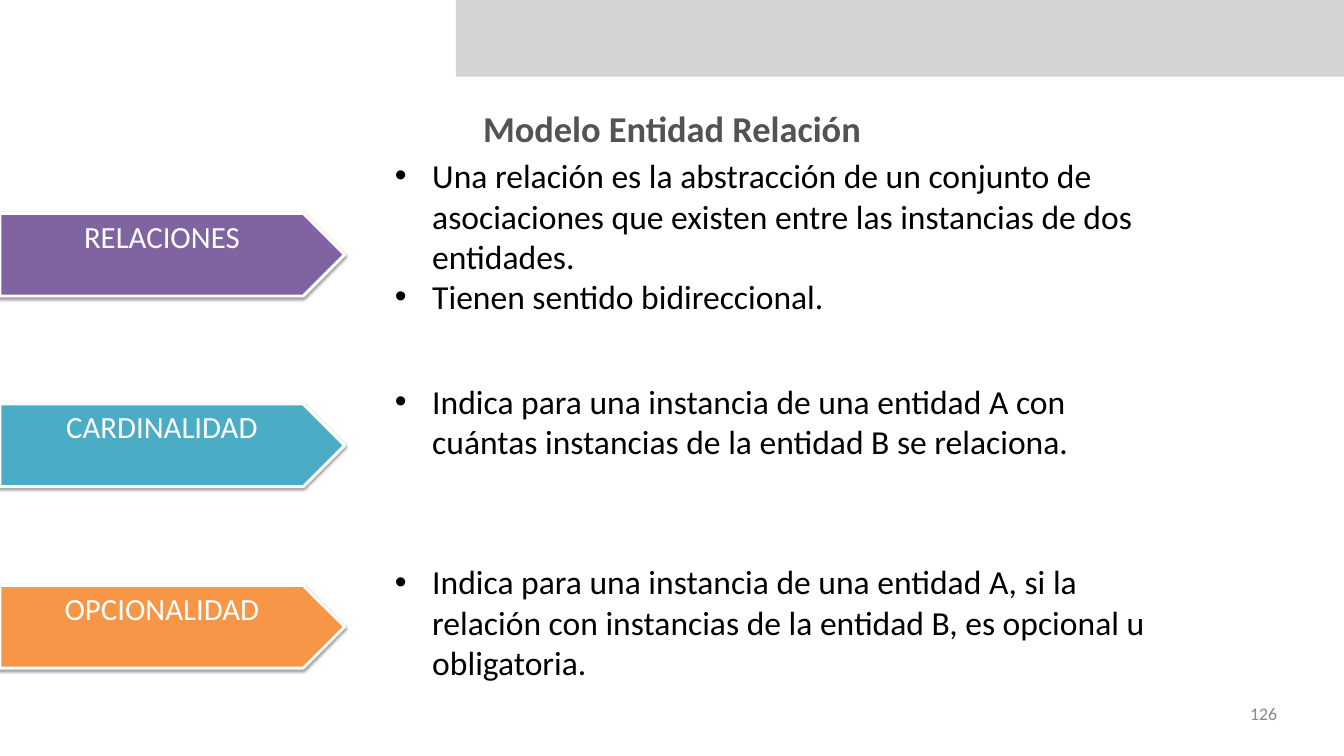
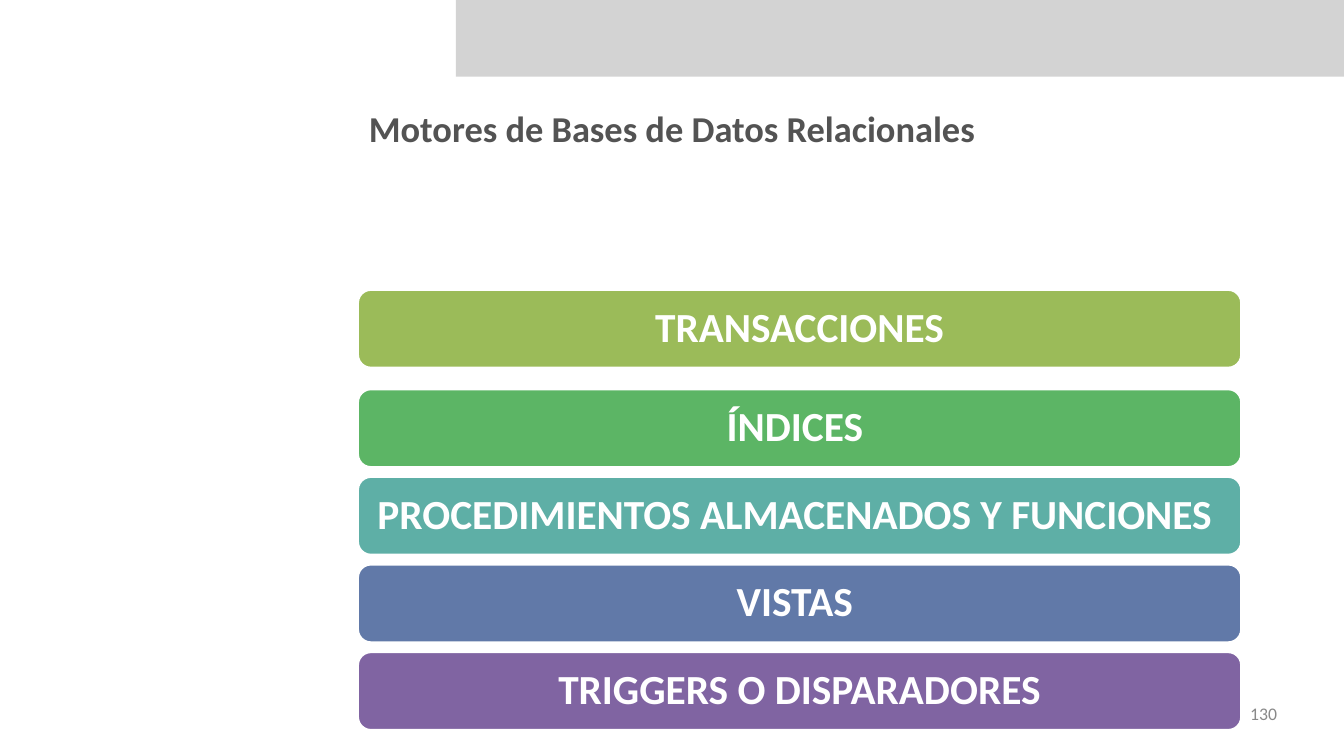
from dataclasses import dataclass

from lxml import etree
from pptx import Presentation
from pptx.dml.color import RGBColor
from pptx.enum.shapes import MSO_SHAPE as Shape
from pptx.enum.text import MSO_ANCHOR as Anchor, PP_ALIGN as Align
from pptx.oxml.ns import qn
from pptx.util import Pt


@dataclass(frozen=True)
class Theme:
    font: str = "Calibri"
    white: str = "FFFFFF"
    black: str = "000000"
    band: str = "D3D3D3"
    title: str = "535353"
    number: str = "898989"
    purple: str = "8064A2"
    cyan: str = "4BACC6"
    orange: str = "F79646"
    olive: str = "9BBB59"
    green: str = "5CB565"
    teal: str = "5EAFA6"
    blue: str = "6179A8"
    title_size: float = 37
    arrow_size: float = 31.3
    body_size: float = 34.1
    bar_size: float = 42
    number_size: float = 18


THEME = Theme()
PAGE_WIDTH, PAGE_HEIGHT = 1365, 768
INDENT = 38

# Arrow label, colour, arrow top, bullet top, bullet height, bullets
CONCEPTS = [
    ("RELACIONES", THEME.purple, 216.7, 157.7, 165.6, [
        "Una relación es la abstracción de un conjunto de asociaciones que "
        "existen entre las instancias de dos entidades.",
        "Tienen sentido bidireccional."]),
    ("CARDINALIDAD", THEME.cyan, 410.4, 386.6, 82.8, [
        "Indica para una instancia de una entidad A con cuántas instancias "
        "de la entidad B se relaciona."]),
    ("OPCIONALIDAD", THEME.orange, 594.7, 570.2, 123.8, [
        "Indica para una instancia de una entidad A, si la relación con "
        "instancias de la entidad B, es opcional u obligatoria."]),
]

FEATURES = [
    ("TRANSACCIONES", THEME.olive),
    ("ÍNDICES ", THEME.green),
    ("PROCEDIMIENTOS ALMACENADOS Y FUNCIONES ", THEME.teal),
    ("VISTAS ", THEME.blue),
    ("TRIGGERS O DISPARADORES", THEME.purple),
]


def points(box):
    return [Pt(length) for length in box]


def write(shape, lines, size, color, bold=False, align=Align.LEFT,
          anchor=Anchor.TOP, insets=(0, 0, 0, 0), bullets=False, spacing=None):
    frame = shape.text_frame
    frame.word_wrap = True
    frame.vertical_anchor = anchor
    (frame.margin_left, frame.margin_top,
     frame.margin_right, frame.margin_bottom) = points(insets)
    for index, line in enumerate(lines):
        para = frame.add_paragraph() if index else frame.paragraphs[0]
        para.add_run().text = line
        para.alignment = align
        if spacing:
            para.line_spacing = spacing
        if bullets:
            add_bullet(para)
        para.font.name = THEME.font
        para.font.size = Pt(size)
        para.font.bold = bold
        para.font.color.rgb = RGBColor.from_string(color)


def add_bullet(para):
    properties = para._p.get_or_add_pPr()
    properties.set("marL", str(Pt(INDENT)))
    properties.set("indent", str(-Pt(INDENT)))
    etree.SubElement(properties, qn("a:buFont")).set("typeface", "Arial")
    etree.SubElement(properties, qn("a:buChar")).set("char", "•")


def add_block(page, kind, box, fill, line_width=0):
    block = page.shapes.add_shape(kind, *points(box))
    block.shadow.inherit = False
    block.fill.solid()
    block.fill.fore_color.rgb = RGBColor.from_string(fill)
    if line_width:
        block.line.color.rgb = RGBColor.from_string(THEME.white)
        block.line.width = Pt(line_width)
    else:
        block.line.fill.background()
    return block


def add_shadow(block):
    effects = block._element.spPr.find(qn("a:effectLst"))
    shadow = etree.SubElement(
        effects, qn("a:outerShdw"), blurRad=str(Pt(3.1)), dist=str(Pt(1.6)),
        dir="5400000", rotWithShape="0")
    color = etree.SubElement(shadow, qn("a:srgbClr"), val=THEME.black)
    etree.SubElement(color, qn("a:alpha"), val="38000")


# Parts shared by every page: band, title and page number
def add_page(deck, title, number):
    page = deck.slides.add_slide(deck.slide_layouts[6])
    add_block(page, Shape.RECTANGLE, (463, -2, 905, 80), THEME.band)
    heading = page.shapes.add_textbox(*points((271, 104, 823, 52.5)))
    write(heading, [title], THEME.title_size, THEME.title, bold=True,
          align=Align.CENTER, anchor=Anchor.MIDDLE, insets=(4, 4, 4, 4))
    return page, number


def add_number(page, number):
    label = page.shapes.add_textbox(*points((983, 714, 314, 22)))
    write(label, [number], THEME.number_size, THEME.number, align=Align.RIGHT)


# Arrow on the left edge
def add_arrow(page, box, label, color):
    arrow = add_block(page, Shape.PENTAGON, box, color, line_width=3)
    add_shadow(arrow)
    write(arrow, [label], THEME.arrow_size, THEME.white,
          align=Align.CENTER, insets=(4, 4, 4, 4))


# Bulleted explanation beside an arrow
def add_bullets(page, box, lines):
    body = page.shapes.add_textbox(*points(box))
    write(body, lines, THEME.body_size, THEME.black, bullets=True)


# Column of rounded bars; the first stands a little apart
def add_bars(page, box, features, lift=12):
    left, top, width, height = box
    bar_height = 79
    pitch = (height - lift - bar_height) / (len(features) - 1)
    for index, (label, color) in enumerate(features):
        bar_top = top + index * pitch + (lift if index else 0)
        bar = add_block(page, Shape.ROUNDED_RECTANGLE,
                        (left, round(bar_top, 2), width, bar_height),
                        color, line_width=2)
        write(bar, [label], THEME.bar_size, THEME.white, bold=True,
              align=Align.CENTER, anchor=Anchor.MIDDLE,
              insets=(12, 12, 12, 12), spacing=0.9)


def build_concepts(deck):
    page, number = add_page(deck, "Modelo Entidad Relación", "126")
    for label, color, arrow_top, text_top, text_height, lines in CONCEPTS:
        add_arrow(page, (0, arrow_top, 350, 84), label, color)
        add_bullets(page, (401, text_top, 788, text_height), lines)
    add_number(page, number)


def build_features(deck):
    page, number = add_page(
        deck, "Motores de Bases de Datos Relacionales", "130")
    add_bars(page, (363.6, 294.5, 897, 447), FEATURES)
    add_number(page, number)


def main():
    deck = Presentation()
    deck.slide_width, deck.slide_height = Pt(PAGE_WIDTH), Pt(PAGE_HEIGHT)
    build_concepts(deck)
    build_features(deck)
    deck.save("out.pptx")


if __name__ == "__main__":
    main()
